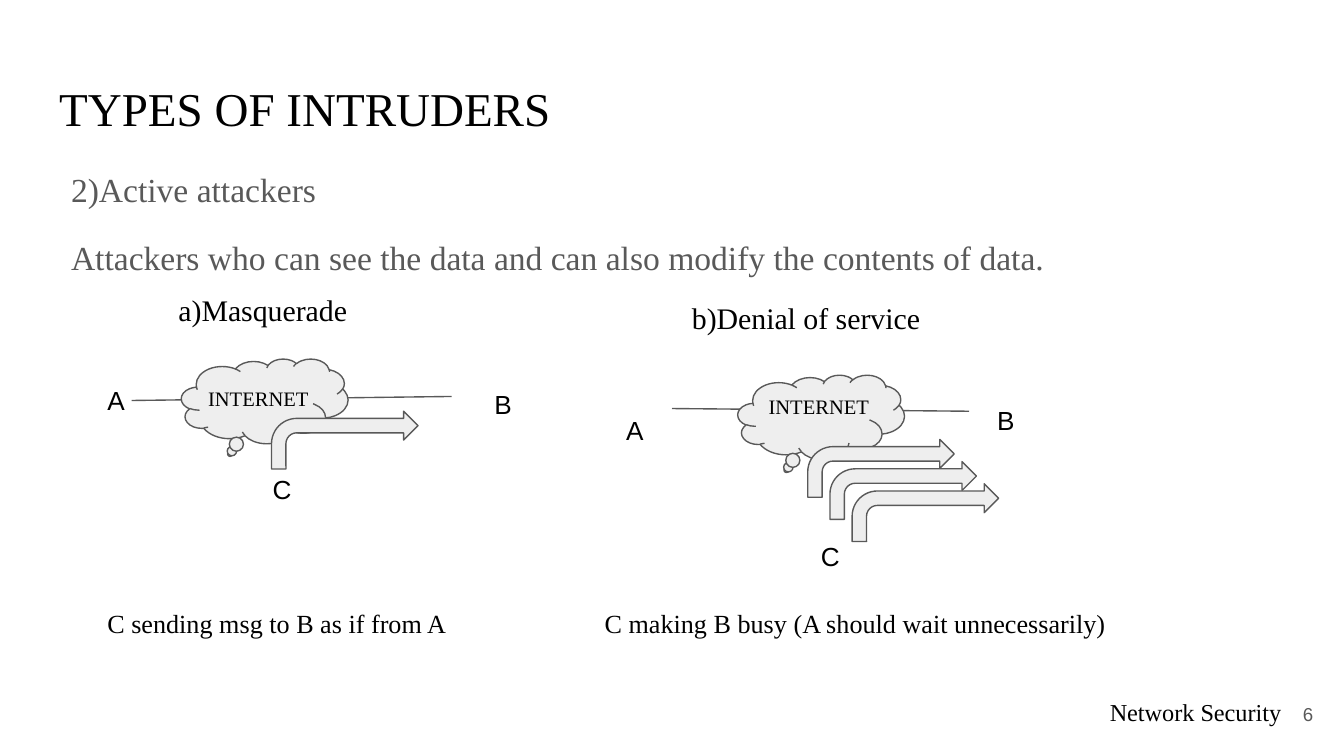
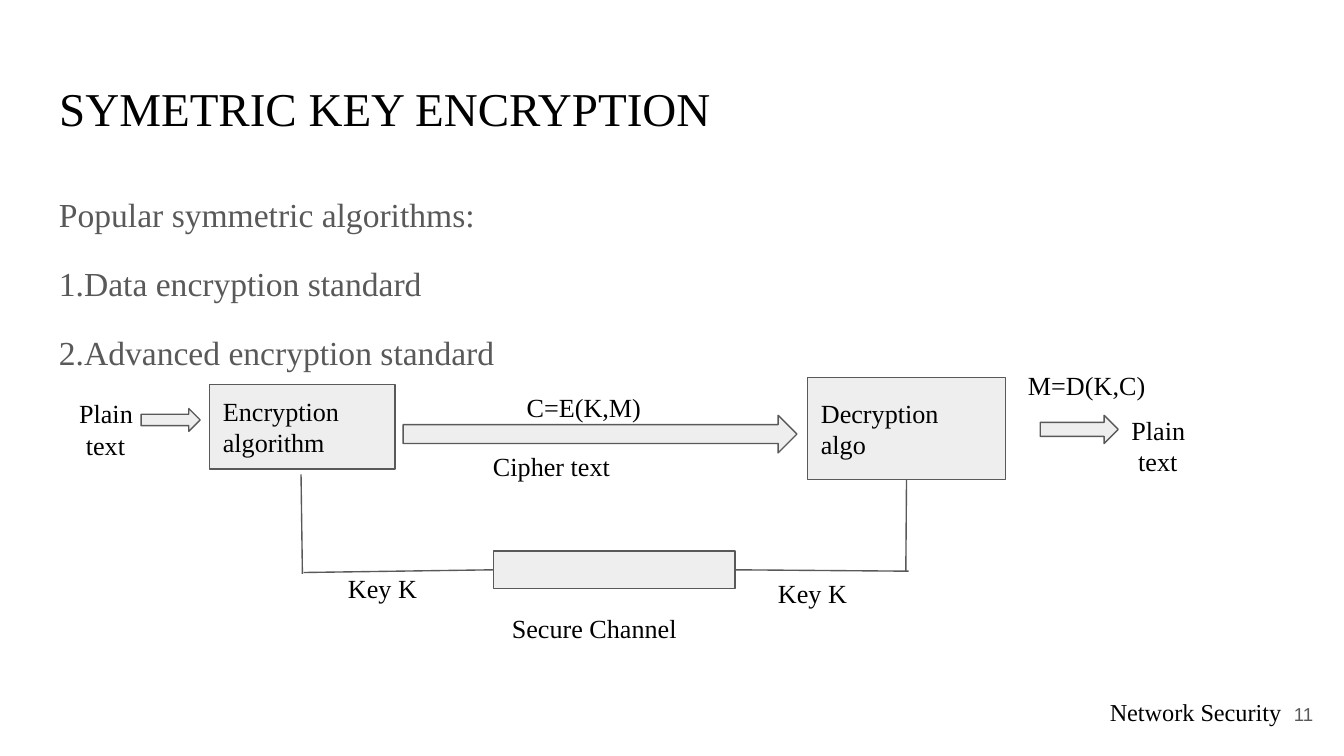
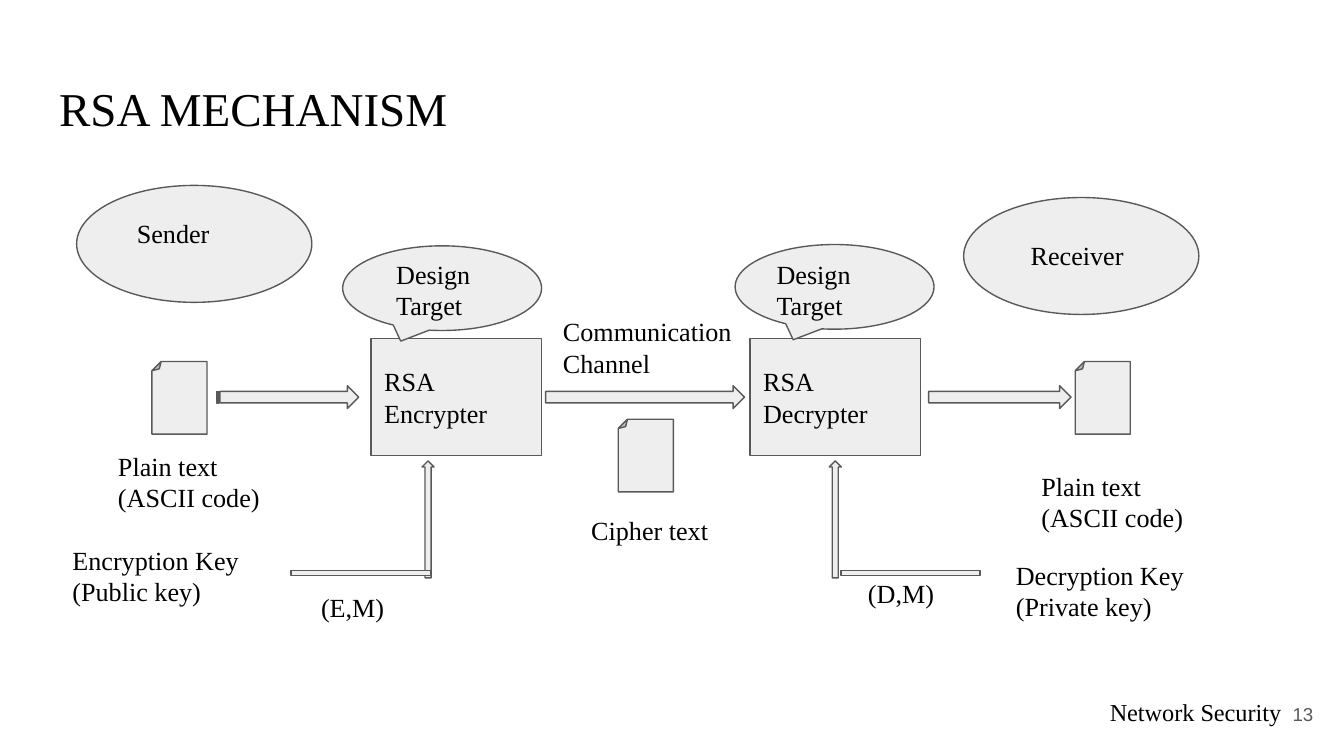
from dataclasses import dataclass

from lxml.etree import SubElement
from pptx import Presentation
from pptx.dml.color import RGBColor
from pptx.enum.shapes import MSO_CONNECTOR, MSO_SHAPE
from pptx.enum.text import MSO_ANCHOR, MSO_AUTO_SIZE, PP_ALIGN
from pptx.oxml.ns import qn
from pptx.presentation import Presentation as Deck
from pptx.shapes.autoshape import Shape
from pptx.shapes.connector import Connector
from pptx.slide import Slide
from pptx.text.text import TextFrame
from pptx.util import Inches, Pt

COLORS = {"ink": "000000", "gray": "595959", "fill": "EEEEEE", "page": "FFFFFF"}
SERIF = "Times New Roman"
SANS = "Arial"
TITLE_ONLY = 5
LINE_HEIGHT = 0.23


@dataclass(frozen=True)
class Style:
    size: float = 14
    font: str = SERIF
    color: str = "ink"
    align: PP_ALIGN = PP_ALIGN.LEFT
    anchor: MSO_ANCHOR = MSO_ANCHOR.TOP
    spacing: float = 1
    before: float = 0
    grow: bool = True


@dataclass(frozen=True)
class Label:
    left: float
    top: float
    width: float
    text: str
    style: Style = Style()
    last_indent: float = 0


@dataclass(frozen=True)
class Figure:
    left: float
    top: float
    width: float
    height: float
    kind: MSO_SHAPE
    text: str = ""
    rotation: float = 0


@dataclass(frozen=True)
class Wire:
    start: tuple[float, float]
    end: tuple[float, float]


TITLE = Style(size=25.2, grow=False)
BODY = Style(size=18, color="gray", spacing=1.15, before=12, grow=False)
IN_SHAPE = Style(anchor=MSO_ANCHOR.MIDDLE, grow=False)
LETTER = Style(font=SANS)
HEADING = Style(size=16)
SMALL = Style(size=11)
FOOTER = Style(size=13, align=PP_ALIGN.CENTER)
NUMBER = Style(10, SANS, "gray", PP_ALIGN.RIGHT, MSO_ANCHOR.MIDDLE, grow=False)


def color(name: str) -> RGBColor:
    return RGBColor.from_string(COLORS[name])


def write(frame: TextFrame, text: str, style: Style, last_indent: float = 0) -> None:
    frame.word_wrap = True
    frame.auto_size = MSO_AUTO_SIZE.SHAPE_TO_FIT_TEXT if style.grow else MSO_AUTO_SIZE.NONE
    frame.vertical_anchor = style.anchor
    frame.margin_left = frame.margin_right = Inches(0.1)
    frame.margin_top = frame.margin_bottom = Inches(0.1)
    for index, line in enumerate(text.split("\n")):
        para = frame.add_paragraph() if index else frame.paragraphs[0]
        para.alignment = style.align
        para.line_spacing = style.spacing
        para.space_before = Pt(style.before if index else 0)
        span = para.add_run()
        span.text = line
        span.font.size = Pt(style.size)
        span.font.name = style.font
        span.font.color.rgb = color(style.color)
    if last_indent:
        para._p.get_or_add_pPr().set("marL", str(Inches(last_indent)))


def add_text(page: Slide, left: float, top: float, width: float, height: float,
             text: str, style: Style, last_indent: float = 0) -> None:
    box = page.shapes.add_textbox(Inches(left), Inches(top), Inches(width), Inches(height))
    write(box.text_frame, text, style, last_indent)


def add_labels(page: Slide, labels: list[Label]) -> None:
    for label in labels:
        lines = label.text.count("\n") + 1
        height = 0.2 + lines * LINE_HEIGHT * label.style.size / 14
        add_text(page, label.left, label.top, label.width, height,
                 label.text, label.style, label.last_indent)


def add_figure(page: Slide, figure: Figure) -> Shape:
    shape = page.shapes.add_shape(figure.kind, Inches(figure.left), Inches(figure.top),
                                  Inches(figure.width), Inches(figure.height))
    shape.shadow.inherit = False
    shape.rotation = figure.rotation
    shape.fill.solid()
    shape.fill.fore_color.rgb = color("fill")
    shape.line.color.rgb = color("gray")
    shape.line.width = Pt(0.75)
    if figure.text:
        write(shape.text_frame, figure.text, IN_SHAPE)
    return shape


def add_figures(page: Slide, figures: list[Figure]) -> list[Shape]:
    return [add_figure(page, figure) for figure in figures]


def add_wire(page: Slide, wire: Wire) -> Connector:
    points = [Inches(value) for value in (*wire.start, *wire.end)]
    connector = page.shapes.add_connector(MSO_CONNECTOR.STRAIGHT, *points)
    connector.line.color.rgb = color("gray")
    connector.line.width = Pt(0.75)
    SubElement(connector._element.spPr, qn("a:effectLst"))
    return connector


def add_page(deck: Deck, title: str, number: int) -> Slide:
    page = deck.slides.add_slide(deck.slide_layouts[TITLE_ONLY])
    page.background.fill.solid()
    page.background.fill.fore_color.rgb = color("page")
    add_text(page, 7.88, 5.09, 2.03, 0.62, "Network Security", FOOTER)
    box = page.shapes.title
    box.left, box.top = Inches(0.34), Inches(0.49)
    box.width, box.height = Inches(9.32), Inches(0.63)
    write(box.text_frame, title, TITLE)
    add_text(page, 9.27, 5.1, 0.6, 0.43, str(number), NUMBER)
    return page


def build_intruders(deck: Deck) -> None:
    page = add_page(deck, "TYPES OF INTRUDERS", 6)
    add_text(page, 0.43, 1.11, 9.32, 3.74,
             "2)Active attackers\n"
             "Attackers who can see the data and can also modify the contents of data.", BODY)
    for wire in (Wire((0.98, 2.98), (3.36, 2.95)), Wire((5, 3.04), (7.21, 3.06))):
        add_wire(page, wire)
    clouds = [Figure(left, top, 1.24, 0.63, MSO_SHAPE.CLOUD_CALLOUT)
              for left, top in ((1.35, 2.67), (5.49, 2.79))]
    flood = [(6.01 + 0.33 * step / 2, 3.27 + 0.33 * step / 2) for step in range(3)]
    messages = [Figure(left, top, 1.09, 0.43, MSO_SHAPE.BENT_ARROW)
                for left, top in [(2.02, 3.06), *flood]]
    add_figures(page, clouds + messages)
    add_labels(page, [
        Label(0.7, 2.76, 0.28, "A", LETTER),
        Label(3.58, 2.79, 0.5, "B", LETTER),
        Label(1.93, 3.42, 0.41, "C", LETTER),
        Label(4.56, 2.98, 0.5, "A", LETTER),
        Label(7.32, 2.91, 0.41, "B", LETTER),
        Label(6.01, 3.92, 0.41, "C", LETTER),
        Label(0.7, 4.42, 3.39, "C sending msg to B as if from A"),
        Label(4.25, 4.42, 4.82, "C making B busy (A should wait unnecessarily)",
              last_indent=0.15),
        Label(1.45, 2.78, 1.46, "INTERNET", SMALL),
        Label(5.62, 2.84, 1.15, "INTERNET", SMALL),
        Label(1.23, 2.07, 2.67, "a)Masquerade", HEADING),
        Label(5.05, 2.13, 3, "b)Denial of service", HEADING),
    ])


def build_symmetric(deck: Deck) -> None:
    page = add_page(deck, "SYMETRIC KEY ENCRYPTION", 11)
    add_text(page, 0.34, 1.3, 9.32, 3.74,
             "Popular symmetric algorithms:\n1.Data encryption standard\n"
             "2.Advanced encryption standard", BODY)
    decryption, channel = add_figures(page, [
        Figure(6.01, 2.81, 1.47, 0.76, MSO_SHAPE.RECTANGLE, "Decryption\nalgo"),
        Figure(3.67, 4.1, 1.8, 0.28, MSO_SHAPE.RECTANGLE),
    ])
    add_figures(page, [
        Figure(1.56, 2.86, 1.38, 0.63, MSO_SHAPE.RECTANGLE, "Encryption\nalgorithm"),
        Figure(1.05, 3.04, 0.44, 0.17, MSO_SHAPE.RIGHT_ARROW),
        Figure(3, 3.09, 2.93, 0.28, MSO_SHAPE.RIGHT_ARROW),
        Figure(7.74, 3.09, 0.58, 0.21, MSO_SHAPE.RIGHT_ARROW),
    ])
    add_wire(page, Wire((2.24, 3.53), (2.25, 4.27)))
    add_wire(page, Wire((2.26, 4.26), (3.67, 4.24))).end_connect(channel, 1)
    add_wire(page, Wire((5.47, 4.24), (6.76, 4.25))).begin_connect(channel, 3)
    add_wire(page, Wire((6.74, 4.25), (6.74, 3.57))).end_connect(decryption, 2)
    add_labels(page, [
        Label(0.49, 2.86, 0.81, "Plain\ntext", last_indent=0.05),
        Label(8.32, 2.98, 0.95, "Plain\ntext", last_indent=0.05),
        Label(3.82, 2.81, 1.38, "C=E(K,M)"),
        Label(3.57, 3.25, 1.8, "Cipher text"),
        Label(7.55, 2.65, 1.15, "M=D(K,C)"),
        Label(2.49, 4.16, 0.95, "Key K"),
        Label(5.69, 4.2, 0.81, "Key K"),
        Label(3.71, 4.46, 1.76, "Secure Channel"),
    ])


def build_rsa(deck: Deck) -> None:
    page = add_page(deck, "RSA MECHANISM", 13)
    machines = [Figure(left, 2.52, 1.27, 0.87, MSO_SHAPE.RECTANGLE, text)
                for left, text in ((2.76, "RSA\nEncrypter"), (5.58, "RSA\nDecrypter"))]
    targets = [Figure(left, top, 1.48, 0.63, MSO_SHAPE.OVAL_CALLOUT)
               for left, top in ((2.55, 1.83), (5.47, 1.82))]
    documents = [Figure(left, top, 0.41, 0.54, MSO_SHAPE.FOLDED_CORNER, rotation=180)
                 for left, top in ((1.13, 2.69), (4.6, 3.12), (8, 2.69))]
    flows = [Figure(left, 2.87, width, 0.17, kind) for left, width, kind in (
        (1.61, 1.06, MSO_SHAPE.STRIPED_RIGHT_ARROW),
        (4.06, 1.48, MSO_SHAPE.RIGHT_ARROW),
        (6.91, 1.06, MSO_SHAPE.RIGHT_ARROW))]
    key_arrows = [Figure(left, 3.43, 0.09, 0.87, MSO_SHAPE.UP_ARROW) for left in (3.14, 6.17)]
    key_bars = [Figure(left, 4.18, 1.41, 0.17, MSO_SHAPE.MATH_MINUS) for left in (1.98, 6.07)]
    people = [Figure(left, top, 1.75, 0.87, MSO_SHAPE.OVAL)
              for left, top in ((0.57, 1.38), (7.17, 1.47))]
    add_figures(page, machines + targets + documents + flows + key_arrows + key_bars + people)
    add_labels(page, [
        Label(0.92, 1.52, 1.06, "Sender"),
        Label(7.57, 1.68, 1.18, "Receiver"),
        Label(2.85, 1.82, 1.06, "Design\nTarget"),
        Label(5.68, 1.82, 1.27, "Design\nTarget"),
        Label(4.09, 2.25, 1.66, "Communication\nChannel"),
        Label(4.3, 3.73, 1.41, "Cipher text"),
        Label(0.78, 3.25, 1.56, "Plain text\n(ASCII code)"),
        Label(7.65, 3.4, 1.41, "Plain text\n(ASCII code)"),
        Label(0.44, 3.95, 1.75, "Encryption Key\n(Public key)"),
        Label(7.46, 4.06, 1.75, "Decryption Key\n(Private key)"),
        Label(2.29, 4.3, 0.78, "(E,M)"),
        Label(6.36, 4.2, 0.78, "(D,M)"),
    ])


def main() -> None:
    deck = Presentation()
    deck.slide_width = Inches(10)
    deck.slide_height = Inches(10 * 9 / 16)
    build_intruders(deck)
    build_symmetric(deck)
    build_rsa(deck)
    deck.save("out.pptx")


if __name__ == "__main__":
    main()
